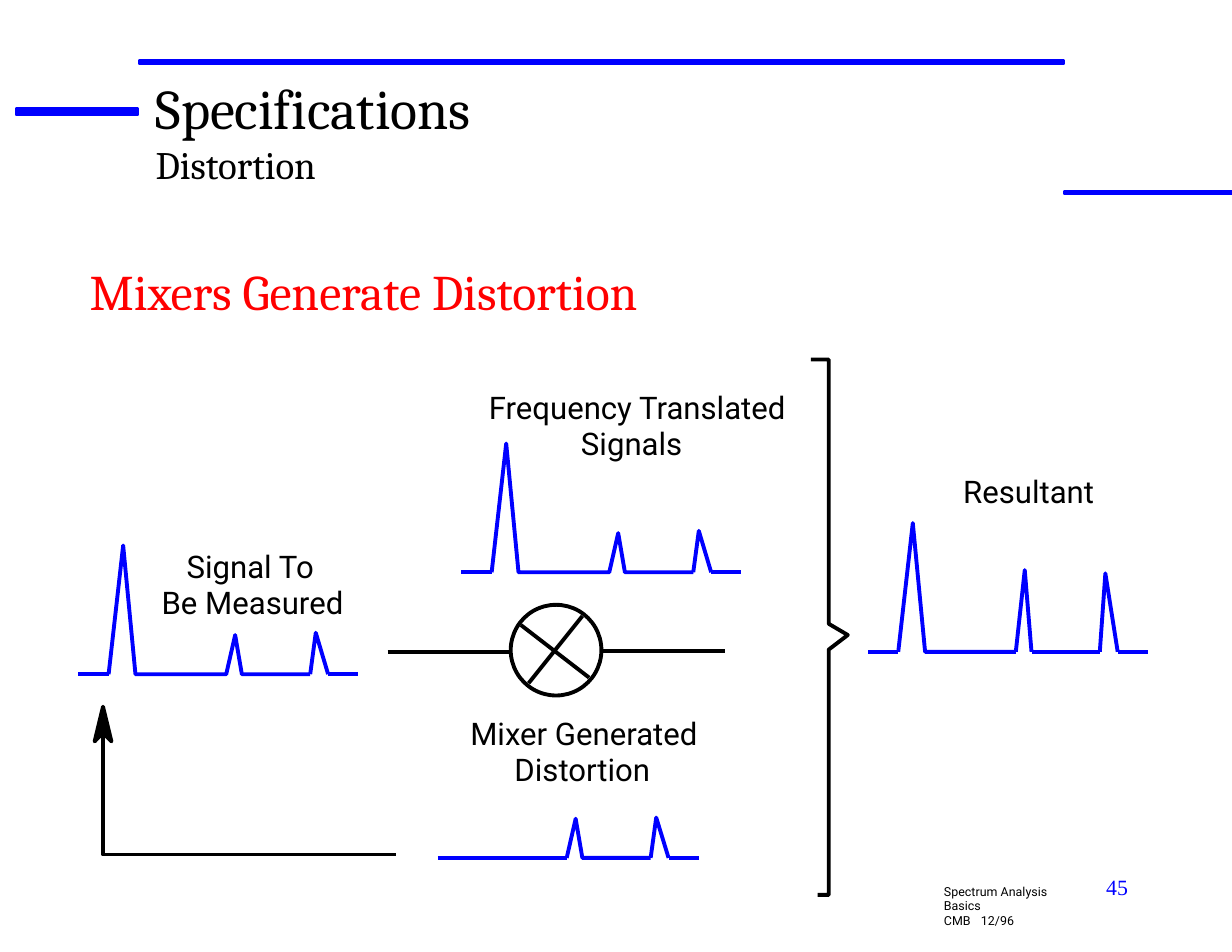
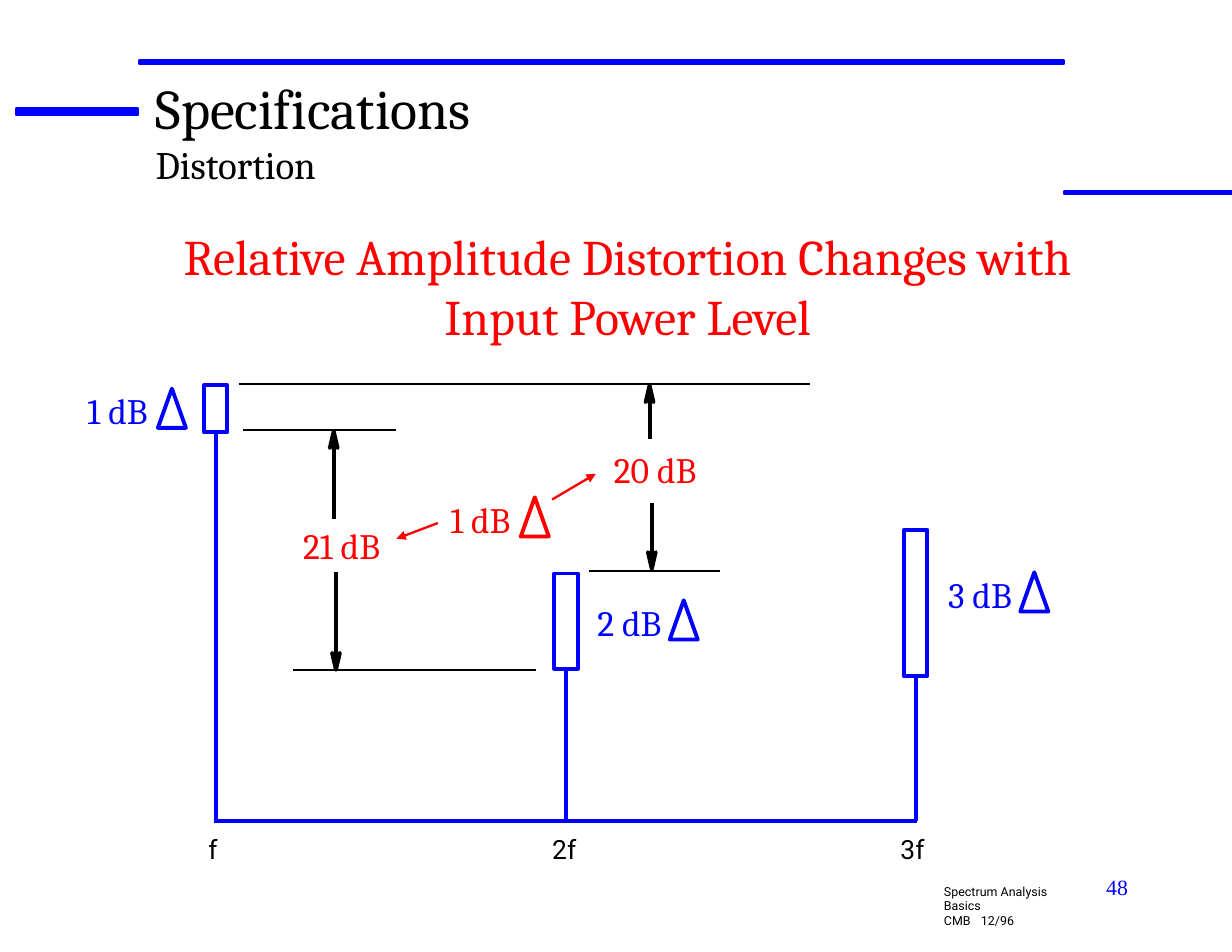
import dataclasses

import lxml.etree
import pptx
import pptx.dml.color
import pptx.enum.shapes
import pptx.enum.text
import pptx.oxml.ns
import pptx.util

RGB = pptx.dml.color.RGBColor.from_string
SHAPE = pptx.enum.shapes.MSO_SHAPE
ALIGN = {
    "l": pptx.enum.text.PP_ALIGN.LEFT,
    "c": pptx.enum.text.PP_ALIGN.CENTER,
    "r": pptx.enum.text.PP_ALIGN.RIGHT,
}
ANCHOR = {
    "t": pptx.enum.text.MSO_ANCHOR.TOP,
    "b": pptx.enum.text.MSO_ANCHOR.BOTTOM,
}


@dataclasses.dataclass(frozen=True)
class Theme:
    blue: str = "0000FF"
    red: str = "FF0000"
    black: str = "000000"
    serif: str = "Cambria"
    sans: str = "Roboto"
    number_font: str = "Times New Roman"
    title: int = 36
    subtitle: int = 25
    heading: int = 32
    level: int = 23
    label: int = 20
    axis: int = 17
    number: int = 14
    footer: int = 8
    thick: float = 2.5
    thin: float = 1.5


def inch(v):
    return pptx.util.Cm(2.54 * v)


class Deck:
    def __init__(self, theme):
        self.theme = theme
        self.prs = pptx.Presentation()
        self.prs.slide_width = inch(11)
        self.prs.slide_height = inch(8.5)
        self.shapes = None

    def text(self, text, at, *, sizes, font, color, align="l", anchor="t", inset=(0, 0), tab=None):
        tb = self.shapes.add_textbox(*map(inch, at))
        tf = tb.text_frame
        tf.word_wrap = True
        tf.vertical_anchor = ANCHOR[anchor]
        tf.margin_left = tf.margin_right = inch(inset[0])
        tf.margin_top = tf.margin_bottom = inch(inset[1])
        for i, line in enumerate(text.split("\n")):
            p = tf.add_paragraph() if i else tf.paragraphs[0]
            p.alignment = ALIGN[align]
            if tab and "\t" in line:
                tabs = lxml.etree.SubElement(p._p.get_or_add_pPr(), pptx.oxml.ns.qn("a:tabLst"))
                lxml.etree.SubElement(tabs, pptx.oxml.ns.qn("a:tab"), pos=str(inch(tab)), algn="l")
            r = p.add_run()
            r.text = line
            r.font.size = pptx.util.Pt(sizes[min(i, len(sizes) - 1)])
            r.font.name = font
            r.font.color.rgb = RGB(color)

    def style(self, sp, color, fill=None, width=None):
        sp.shadow.inherit = False
        if fill:
            sp.fill.solid()
            sp.fill.fore_color.rgb = RGB(fill)
        else:
            sp.fill.background()
        sp.line.color.rgb = RGB(color)
        sp.line.width = pptx.util.Pt(width or self.theme.thick)
        return sp

    def shape(self, kind, at, color, **kw):
        return self.style(self.shapes.add_shape(kind, *map(inch, at)), color, **kw)

    def outline(self, points, color, fill=None):
        pts = [(inch(x), inch(y)) for x, y in points]
        fb = self.shapes.build_freeform(*pts[0], scale=1.0)
        fb.add_line_segments(pts[1:], close=bool(fill))
        return self.style(fb.convert_to_shape(), color, fill=fill)

    def line(self, x1, y1, x2, y2, color, width=None, arrow=False):
        c = self.shapes.add_connector(
            pptx.enum.shapes.MSO_CONNECTOR.STRAIGHT, *map(inch, (x1, y1, x2, y2)))
        c.line.color.rgb = RGB(color)
        c.line.width = pptx.util.Pt(width or self.theme.thick)
        if arrow:
            lxml.etree.SubElement(c.line._get_or_add_ln(), pptx.oxml.ns.qn("a:tailEnd"), type="triangle")
        lxml.etree.SubElement(c._element.spPr, pptx.oxml.ns.qn("a:effectLst"))
        return c

    def arrowhead(self, x, tip, width, height):
        base, notch = tip + height, tip + 0.75 * height
        self.outline([(x, tip), (x - width / 2, base), (x, notch), (x + width / 2, base)],
                     self.theme.black, fill=self.theme.black)

    def dimension(self, x, tip, tail):
        sign = 1 if tail > tip else -1
        self.line(x, tip + 0.13 * sign, x, tail, self.theme.black)
        self.arrowhead(x, tip, 0.07, 0.15 * sign)

    def trace(self, x, base, heights, cuts, start=0):
        feet = ((0.27, 0.4, 0.51), (1.32, 1.4, 1.46), (2.07, 2.12, 2.23))
        points = [(x + start, base)]
        for (left, top, right), height in zip(feet, heights):
            if height:
                points += [(x + left, base), (x + top, base - height), (x + right, base)]
        points.append((x + 2.5, base))
        for first, last in zip((0, *cuts), (*cuts, len(points) - 1)):
            if last - first == 1:
                self.line(*points[first], *points[last], self.theme.blue)
            else:
                self.outline(points[first:last + 1], self.theme.blue)

    def delta(self, text, x, y, color):
        t = self.theme
        self.shape(SHAPE.ISOSCELES_TRIANGLE, (x + 0.71, y, 0.25, 0.35), color)
        self.text(text, (x, y, 0.7, 0.39), sizes=[t.level], font=t.serif, color=color, align="c")

    def heading(self, text, at, align="l"):
        t = self.theme
        self.text(text, at, sizes=[t.heading], font=t.serif, color=t.red, align=align)

    def new_slide(self, number):
        t = self.theme
        self.shapes = self.prs.slides.add_slide(self.prs.slide_layouts[6]).shapes
        for at in ((0.14, 0.97, 1.09, 0.06), (1.24, 0.54, 8.26, 0.03), (9.5, 1.71, 1.5, 0.02)):
            bar = self.shape(SHAPE.ROUNDED_RECTANGLE, at, t.blue, fill=t.blue, width=t.thin)
            bar.adjustments[0] = 0
        self.text("Spectrum Analysis Basics\nCMB\t12/96", (8.33, 7.84, 1.36, 0.37),
                  sizes=[t.footer], font=t.sans, color=t.black, inset=(0.1, 0.05), tab=0.33)
        self.text(str(number), (7.92, 7.75, 2.25, 0.58), sizes=[t.number], font=t.number_font,
                  color=t.blue, align="r", inset=(0.1, 0.05))
        self.text("Specifications\nDistortion", (1.39, 0.66, 8.19, 1),
                  sizes=[t.title, t.subtitle], font=t.serif, color=t.black)


def mixer_slide(deck):
    t = deck.theme
    deck.new_slide(45)
    deck.trace(0.7, 6.02, (1.15, 0.35, 0.37), (1, 7, 9))
    deck.trace(7.75, 5.82, (1.15, 0.73, 0.7), (1, 4, 6, 7, 9))
    deck.trace(4.12, 5.11, (1.15, 0.35, 0.37), (1, 7, 9))
    deck.trace(3.74, 7.66, (0, 0.35, 0.36), (1, 4, 6), start=0.17)

    deck.outline([(7.24, 3.21), (7.4, 3.21), (7.4, 5.57), (7.57, 5.67), (7.4, 5.8),
                  (7.4, 7.99), (7.3, 7.99)], t.black)
    deck.shape(SHAPE.OVAL, (4.56, 5.4, 0.81, 0.81), t.black)
    for ends in ((4.65, 5.58, 5.26, 6.05), (4.72, 6.1, 5.2, 5.5),
                 (3.46, 5.82, 4.56, 5.82), (5.37, 5.81, 6.47, 5.81)):
        deck.line(*ends, t.black)
    deck.outline([(0.92, 6.31), (0.92, 7.63), (3.54, 7.63)], t.black)
    deck.arrowhead(0.92, 6.31, 0.15, 0.31)

    for label, x, y, width in (
        ("Frequency Translated", 4.18, 3.44, 3.02),
        ("Signals", 5.13, 3.76, 1.02),
        ("Signal To", 1.57, 4.86, 1.33),
        ("Be Measured", 1.34, 5.18, 1.83),
        ("Resultant", 8.52, 4.19, 1.33),
        ("Mixer Generated", 4.05, 6.35, 2.33),
        ("Distortion", 4.51, 6.67, 1.38),
    ):
        deck.text(label, (x, y, width, 0.36), sizes=[t.label], font=t.sans, color=t.black,
                  align="c", anchor="b")
    deck.heading("Mixers Generate Distortion", (0.8, 2.33, 5.87, 0.58))


def amplitude_slide(deck):
    t = deck.theme
    deck.new_slide(48)
    deck.heading("Relative Amplitude Distortion Changes with Input Power Level",
                 (1.21, 2.02, 8.79, 1.1), align="c")

    axis_y, bar_width = 7.33, 0.21
    for label, label_x, x, top, height in (
        ("f", 1.86, 1.82, 3.44, 0.42),
        ("2f", 4.93, 4.95, 5.12, 0.85),
        ("3f", 8.04, 8.07, 4.73, 1.31),
    ):
        deck.text(label, (label_x, 7.36, 0.28, 0.36), sizes=[t.axis],
                  font=t.sans, color=t.black, anchor="b")
        bar = deck.shape(SHAPE.RECTANGLE, (x, top, bar_width, height), t.blue)
        middle = x + bar_width / 2
        stem = deck.line(middle, top + height, middle, axis_y, t.blue)
        stem.begin_connect(bar, 2)
    deck.line(1.91, axis_y, 8.19, axis_y, t.blue)

    for x1, x2, y in ((2.13, 7.23, 3.43), (2.17, 3.54, 3.84), (2.62, 4.79, 5.98), (5.26, 6.43, 5.1)):
        deck.line(x1, y, x2, y, t.black, width=t.thin)
    for x, tip, tail in ((2.98, 3.85, 4.63), (3, 5.98, 5.11), (5.8, 3.44, 3.92), (5.82, 5.08, 4.49)):
        deck.dimension(x, tip, tail)

    for text, x, y, color in (("1 dB", 0.7, 3.47, t.blue), ("3 dB", 8.4, 5.11, t.blue),
                              ("2 dB", 5.27, 5.36, t.blue), ("1 dB", 3.94, 4.44, t.red)):
        deck.delta(text, x, y, color)
    for text, x, y in (("21 dB", 2.61, 4.68), ("20 dB", 5.41, 4)):
        deck.text(text, (x, y, 0.88, 0.39), sizes=[t.level], font=t.serif, color=t.red, align="c")
    for ends in ((4.93, 4.46, 5.32, 4.23), (3.91, 4.67, 3.54, 4.81)):
        deck.line(*ends, t.red, width=t.thin, arrow=True)


def main():
    deck = Deck(Theme())
    mixer_slide(deck)
    amplitude_slide(deck)
    deck.prs.save("out.pptx")


if __name__ == "__main__":
    main()
